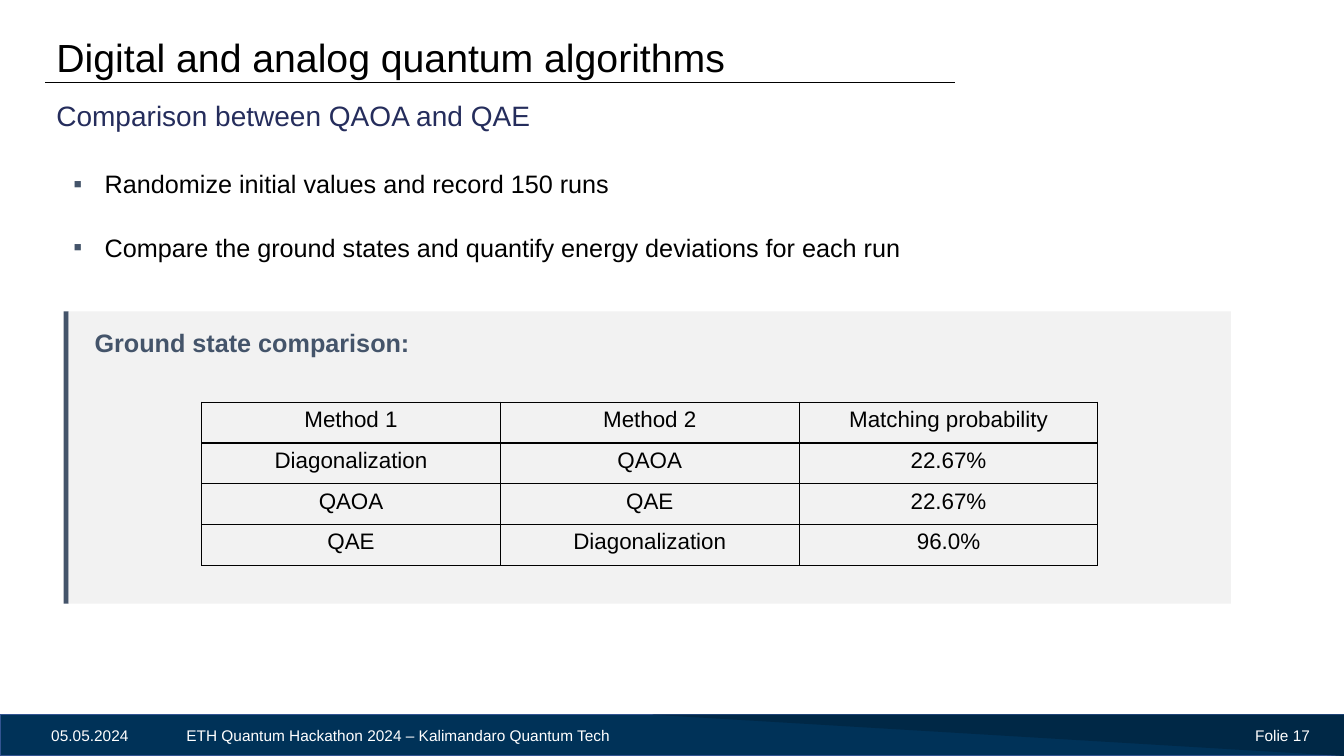
from pptx import Presentation
from pptx.dml.color import RGBColor
from pptx.enum.shapes import MSO_CONNECTOR, MSO_SHAPE
from pptx.enum.text import MSO_ANCHOR, PP_ALIGN
from pptx.oxml.ns import qn
from pptx.util import Inches, Pt
from lxml.etree import SubElement

BLACK = RGBColor(0x00, 0x00, 0x00)
WHITE = RGBColor(0xFF, 0xFF, 0xFF)
INDIGO = RGBColor(0x25, 0x2D, 0x5C)
SLATE = RGBColor(0x44, 0x54, 0x6A)
PALE = RGBColor(0xF2, 0xF2, 0xF2)
NAVY = RGBColor(0x00, 0x32, 0x58)
DARK = RGBColor(0x00, 0x28, 0x46)
EDGE = RGBColor(0x32, 0x54, 0x91)

ROWS = [
    ("Method 1", "Method 2", "Matching probability"),
    ("Diagonalization", "QAOA", "22.67%"),
    ("QAOA", "QAE", "22.67%"),
    ("QAE", "Diagonalization", "96.0%"),
]


class Deck:
    font = "Arial"

    def __init__(self, slide):
        self.slide = slide
        self.shapes = slide.shapes

    def style(self, para, size, color, bold=False):
        para.font.name = self.font
        para.font.size = Pt(size)
        para.font.color.rgb = color
        para.font.bold = bold

    def title(self, text, x, y, w, h):
        title = self.shapes.title
        title.left, title.top = Inches(x), Inches(y)
        title.width, title.height = Inches(w), Inches(h)
        title.text = text
        title.text_frame.vertical_anchor = MSO_ANCHOR.MIDDLE
        para = title.text_frame.paragraphs[0]
        para.alignment = PP_ALIGN.LEFT
        self.style(para, 28, BLACK)

    def text(self, lines, x, y, w, h, size, color, bold=False):
        box = self.shapes.add_textbox(Inches(x), Inches(y), Inches(w), Inches(h))
        frame = box.text_frame
        frame.word_wrap = True
        frame.text = "\n".join(lines)
        for para in frame.paragraphs:
            self.style(para, size, color, bold)
        return frame

    def bullets(self, lines, x, y, w, h, gap):
        frame = self.text(lines, x, y, w, h, 18, BLACK)
        for para in frame.paragraphs:
            para.space_after = Pt(gap)
            props = para._p.get_or_add_pPr()
            props.set("marL", str(Inches(0.31)))
            props.set("indent", str(-Inches(0.31)))
            tint = SubElement(props, qn("a:buClr"))
            SubElement(tint, qn("a:srgbClr"), val=str(SLATE))
            SubElement(props, qn("a:buFont"), typeface=self.font)
            SubElement(props, qn("a:buChar"), char="▪")

    def block(self, x, y, w, h, fill, edge=None, kind=MSO_SHAPE.RECTANGLE, group=None):
        home = group.shapes if group else self.shapes
        shape = home.add_shape(kind, Inches(x), Inches(y), Inches(w), Inches(h))
        shape.shadow.inherit = False
        shape.fill.solid()
        shape.fill.fore_color.rgb = fill
        if edge:
            shape.line.color.rgb = edge
            shape.line.width = Pt(1)
        else:
            shape.line.fill.background()
        return shape

    def rule(self, x, y, end):
        line = self.shapes.add_connector(
            MSO_CONNECTOR.STRAIGHT, Inches(x), Inches(y), Inches(end), Inches(y))
        line.line.color.rgb = BLACK
        line.line.width = Pt(0.5)
        SubElement(line._element.spPr, qn("a:effectLst"))

    def border(self, cell, widths):
        props = cell._tc.get_or_add_tcPr()
        for side, width in widths.items():
            line = SubElement(props, qn("a:ln" + side), w=str(Pt(width)))
            fill = SubElement(line, qn("a:solidFill"))
            SubElement(fill, qn("a:srgbClr"), val=str(BLACK))

    def table(self, rows, x, y, w, h):
        frame = self.shapes.add_table(
            len(rows), len(rows[0]), Inches(x), Inches(y), Inches(w), Inches(h))
        table = frame.table
        table.first_row = False
        table.horz_banding = False
        for i, row in enumerate(rows):
            for j, text in enumerate(row):
                cell = table.cell(i, j)
                cell.text = text
                para = cell.text_frame.paragraphs[0]
                para.alignment = PP_ALIGN.CENTER
                self.style(para, 16, BLACK)
                self.border(cell, {
                    "L": 1, "R": 1,
                    "T": 2.25 if i == 1 else 1,
                    "B": 2.25 if i == 0 else 1,
                })
                cell.fill.background()


def main():
    show = Presentation()
    show.slide_width, show.slide_height = Inches(13.33), Inches(7.5)
    deck = Deck(show.slides.add_slide(show.slide_layouts[5]))

    deck.title("Digital and analog quantum algorithms", 0.46, 0.27, 12.41, 0.59)
    deck.rule(0.45, 0.82, 9.47)
    deck.text(["Comparison between QAOA and QAE"], 0.46, 0.93, 12.41, 0.41, 20, INDIGO)

    deck.block(0, 7.09, 13.33, 0.41, NAVY, EDGE)
    wedge = deck.block(6.47, 7.09, 6.86, 0.41, DARK, kind=MSO_SHAPE.ISOSCELES_TRIANGLE)
    wedge.adjustments[0] = 0
    wedge.rotation = 180
    for text, x, w in [
        ("05.05.2024", 0.41, 1.11),
        ("ETH Quantum Hackathon 2024 – Kalimandaro Quantum Tech", 1.75, 5.74),
        ("Folie 17", 12.35, 0.82),
    ]:
        deck.text([text], x, 7.15, w, 0.29, 11, WHITE)

    deck.bullets([
        "Randomize initial values and record 150 runs",
        "Compare the ground states and quantify energy deviations for each run",
    ], 0.63, 1.62, 11.21, 1.3, 24)

    panel = deck.shapes.add_group_shape()
    deck.block(0.63, 3.09, 0.05, 2.9, SLATE, group=panel)
    deck.block(0.68, 3.09, 11.53, 2.9, PALE, group=panel)
    deck.text(["Ground state comparison:"], 0.84, 3.2, 6.67, 0.4, 18, SLATE, True)
    deck.table(ROWS, 2, 3.99, 8.89, 1.62)

    show.save("out.pptx")


if __name__ == "__main__":
    main()
